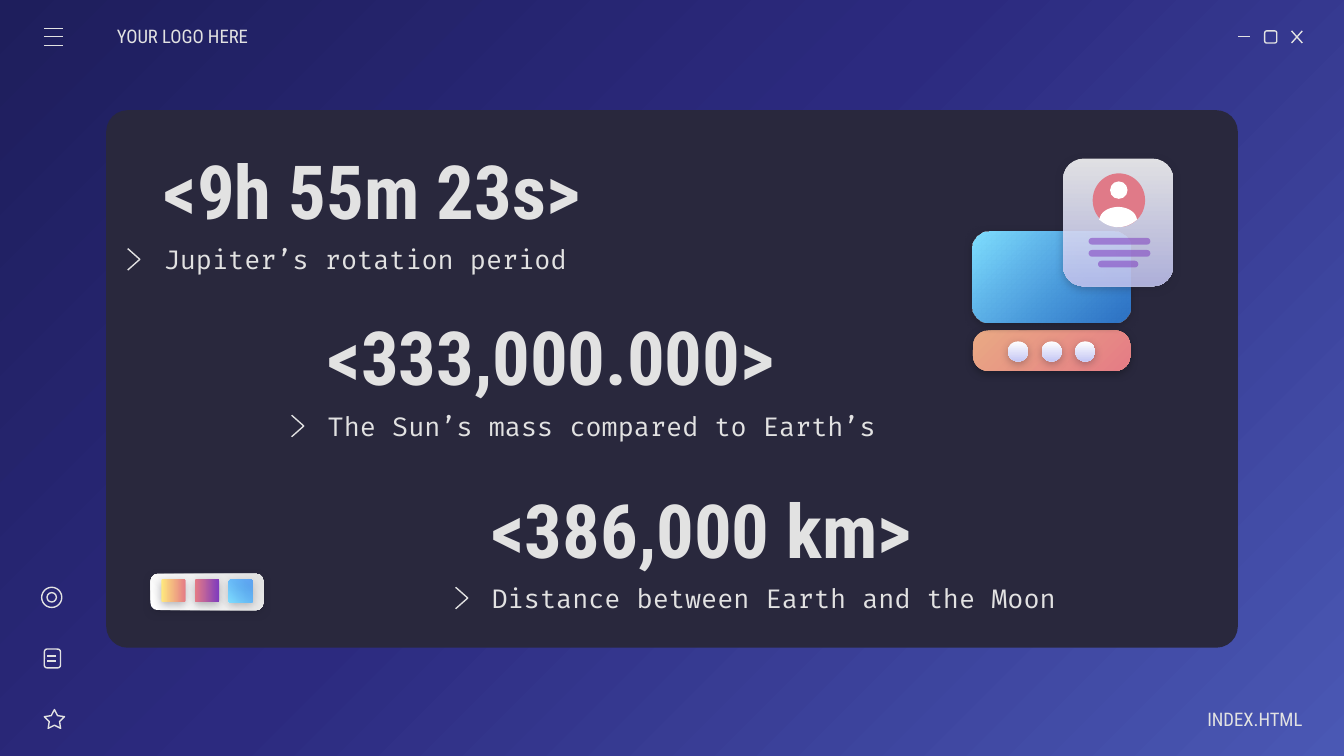
from dataclasses import dataclass
from math import cos, radians, sin

from lxml.etree import SubElement
from pptx import Presentation
from pptx.dml.color import RGBColor
from pptx.enum.shapes import MSO_CONNECTOR, MSO_SHAPE
from pptx.enum.text import MSO_ANCHOR, MSO_AUTO_SIZE, PP_ALIGN
from pptx.oxml import parse_xml
from pptx.oxml.ns import nsdecls, qn
from pptx.util import Inches, Pt

HEX = {
    "night": "1E1E5C", "indigo": "2C2A7F", "dusk": "4A58B4",
    "panel": "29283D", "light": "E2E2E2", "white": "FFFFFF",
    "shade": "1E1E2C", "peach": "E9A984", "coral": "E57C85",
    "sky": "80DFFF", "blue": "318FFA", "lilac": "C5C7F4",
    "rose": "E07A88", "purple": "7E3BBE", "yellow": "FFEA7D",
}
HEAD, CODE = "Roboto Condensed", "Fira Code"
BOX, OVAL, STAR = MSO_SHAPE.ROUNDED_RECTANGLE, MSO_SHAPE.OVAL, MSO_SHAPE.STAR_5_POINT


@dataclass
class Paint:
    """Stops are (position, colour, opacity); one stop is a solid fill."""
    stops: list
    angle: int = 0


@dataclass
class Fact:
    value: str
    label: str
    x: float
    y: float


@dataclass
class Part:
    x: float
    y: float
    w: float
    h: float
    kind: int = BOX
    adj: float | None = None
    paint: Paint | None = None
    shade: int = 0


def solid(name: str, alpha: int = 100) -> Paint:
    return Paint([(0, name, alpha)])


def blend(first: str, last: str, angle: int, start: int = 100, end: int = 100) -> Paint:
    return Paint([(0, first, start), (100, last, end)], angle)


def add_tone(node, name: str, alpha: int) -> None:
    tone = SubElement(node, qn("a:srgbClr"), val=HEX[name])
    if alpha < 100:
        SubElement(tone, qn("a:alpha"), val=str(alpha * 1000))


def set_fill(fill, root, paint: Paint) -> None:
    fill.background()
    blank = next(root.iter(qn("a:noFill")))
    if len(paint.stops) == 1:
        node = parse_xml(f"<a:solidFill {nsdecls('a')}/>")
        add_tone(node, *paint.stops[0][1:])
    else:
        node = parse_xml(f'<a:gradFill {nsdecls("a")} rotWithShape="1"/>')
        stops = SubElement(node, qn("a:gsLst"))
        for pos, name, alpha in paint.stops:
            add_tone(SubElement(stops, qn("a:gs"), pos=str(pos * 1000)), name, alpha)
        SubElement(node, qn("a:lin"), ang=str(paint.angle * 60000), scaled="0")
    blank.getparent().replace(blank, node)


def set_line(line) -> None:
    line.color.rgb = RGBColor.from_string(HEX["light"])
    line.width = Pt(0.75)


def finish(shape, paint: Paint | None) -> None:
    shape.shadow.inherit = False
    if paint:
        set_fill(shape.fill, shape._element, paint)
        shape.line.fill.background()
    else:
        shape.fill.background()
        set_line(shape.line)


def draw(shapes, part: Part) -> None:
    shape = shapes.add_shape(part.kind, *map(Inches, (part.x, part.y, part.w, part.h)))
    if part.adj is not None:
        shape.adjustments[0] = part.adj
    finish(shape, part.paint)
    if part.shade:
        glow = SubElement(shape._element.spPr.find(qn("a:effectLst")), qn("a:outerShdw"),
                          blurRad=str(Pt(4.5)), dist=str(Pt(1.5)), dir="5400000",
                          algn="bl", rotWithShape="0")
        add_tone(glow, "shade", part.shade)


def draw_line(shapes, x1: float, y1: float, x2: float, y2: float) -> None:
    line = shapes.add_connector(MSO_CONNECTOR.STRAIGHT, *map(Inches, (x1, y1, x2, y2)))
    set_line(line.line)
    SubElement(line._element.spPr, qn("a:effectLst"))


def draw_path(shapes, points: list, paint: Paint | None = None) -> None:
    spots = [(Inches(x), Inches(y)) for x, y in points]
    pen = shapes.build_freeform(*spots[0])
    pen.add_line_segments(spots[1:], close=paint is not None)
    finish(pen.convert_to_shape(), paint)


def arc(x: float, y: float, rx: float, ry: float, start: int, end: int) -> list:
    return [(x + rx * cos(radians(a)), y + ry * sin(radians(a)))
            for a in range(start, end + 1, 5)]


def write(shape, text: str, face: str, size: int, bold: bool = False,
          align=PP_ALIGN.LEFT, left: float = 0.1, right: float = 0.1) -> None:
    frame = shape.text_frame
    look = {"word_wrap": True, "auto_size": MSO_AUTO_SIZE.NONE,
            "vertical_anchor": MSO_ANCHOR.MIDDLE,
            "margin_left": Inches(left), "margin_right": Inches(right),
            "margin_top": Inches(0.1), "margin_bottom": Inches(0.1)}
    for key, val in look.items():
        setattr(frame, key, val)
    para = frame.paragraphs[0]
    para.alignment = align
    run = para.add_run()
    run.text = text
    for key, val in {"name": face, "size": Pt(size), "bold": bold}.items():
        setattr(run.font, key, val)
    run.font.color.rgb = RGBColor.from_string(HEX["light"])


def add_text(shapes, x: float, y: float, w: float, h: float, *args, **look) -> None:
    write(shapes.add_textbox(*map(Inches, (x, y, w, h))), *args, **look)


def main() -> None:
    deck = Presentation()
    deck.slide_width = Inches(10)
    deck.slide_height = deck.slide_width * 9 // 16
    slide = deck.slides.add_slide(deck.slide_layouts[5])
    shapes = slide.shapes
    set_fill(slide.background.fill, slide._element,
             Paint([(0, "night", 100), (46, "indigo", 100), (100, "dusk", 100)], 45))

    # Panel and window buttons
    draw(shapes, Part(0.79, 0.82, 8.42, 4, adj=0.04, paint=solid("panel")))
    draw(shapes, Part(9.41, 0.23, 0.09, 0.09))
    for ends in ((9.21, 0.27, 9.3, 0.27), (9.61, 0.23, 9.69, 0.32), (9.69, 0.23, 9.61, 0.32)):
        draw_line(shapes, *ends)

    # Menu and side icons
    for y in (0.21, 0.27, 0.34):
        draw_line(shapes, 0.33, y, 0.47, y)
    for part in (Part(0.33, 5.28, 0.15, 0.14, STAR, 0.254),
                 Part(0.33, 4.83, 0.12, 0.14),
                 Part(0.31, 4.37, 0.15, 0.15, OVAL),
                 Part(0.35, 4.41, 0.07, 0.07, OVAL)):
        draw(shapes, part)
    for y in (4.88, 4.92):
        draw_line(shapes, 0.35, y, 0.42, y)

    # Header and footer
    add_text(shapes, 0.87, 0.12, 1.17, 0.3, "YOUR LOGO HERE", HEAD, 10, left=0)
    add_text(shapes, 8.52, 5.2, 1.17, 0.3, "INDEX.HTML", HEAD, 10,
             align=PP_ALIGN.RIGHT, right=0)

    # Facts, the first value being the slide title
    facts = [Fact("<9h 55m 23s>", "Jupiter’s rotation period", 1.12, 1.07),
             Fact("<333,000.000>", "The Sun’s mass compared to Earth’s", 2.34, 2.31),
             Fact("<386,000 km>", "Distance between Earth and the Moon", 3.56, 3.59)]
    for i, fact in enumerate(facts):
        place = [Inches(n) for n in (fact.x, fact.y, 5.32, 0.68)]
        if i == 0:
            head = shapes.title
            for key, val in zip(("left", "top", "width", "height"), place):
                setattr(head, key, val)
            shapes._spTree.append(head._element)  # bring above the panel
        else:
            head = shapes.add_textbox(*place)
        write(head, fact.value, HEAD, 40, bold=True)
        add_text(shapes, fact.x, fact.y + 0.71, 5.32, 0.3, fact.label, CODE, 14)
        x, y = fact.x - 0.17, fact.y + 0.78
        draw_path(shapes, [(x, y), (x + 0.09, y + 0.08), (x, y + 0.16)])

    # Screen, button bar and profile card
    for part in (Part(7.24, 2.46, 1.17, 0.3, adj=0.374,
                      paint=blend("peach", "coral", 45), shade=100),
                 Part(7.24, 1.72, 1.17, 0.68, adj=0.181,
                      paint=blend("sky", "blue", 45, end=72), shade=100),
                 Part(7.91, 1.18, 0.82, 0.95, adj=0.187,
                      paint=blend("white", "lilac", 90, 86, 86), shade=29),
                 Part(8.13, 1.29, 0.39, 0.4, OVAL, paint=solid("rose")),
                 Part(8.26, 1.35, 0.13, 0.13, OVAL, paint=solid("white"))):
        draw(shapes, part)
    draw_path(shapes, arc(8.32, 1.64, 0.14, 0.1, 180, 360) + arc(8.32, 1.49, 0.2, 0.2, 45, 135),
              solid("white"))
    for x, y, w in ((8.1, 1.77, 0.46), (8.1, 1.86, 0.46), (8.17, 1.94, 0.3)):
        draw(shapes, Part(x, y, w, 0.05, adj=0.5, paint=solid("purple", 54)))
    for i in range(3):
        draw(shapes, Part(7.5 + 0.25 * i, 2.54, 0.15, 0.15, OVAL,
                          paint=blend("white", "lilac", 90), shade=30))

    # Swatch tray
    draw(shapes, Part(1.12, 4.27, 0.84, 0.27, adj=0.198,
                      paint=blend("white", "light", 315), shade=30))
    paints = (blend("yellow", "coral", 0), blend("coral", "purple", 0),
              blend("sky", "blue", 315, end=72))
    for i, paint in enumerate(paints):
        draw(shapes, Part(1.2 + 0.25 * i, 4.31, 0.18, 0.17, adj=0.073, paint=paint, shade=30))

    deck.save("out.pptx")


if __name__ == "__main__":
    main()
